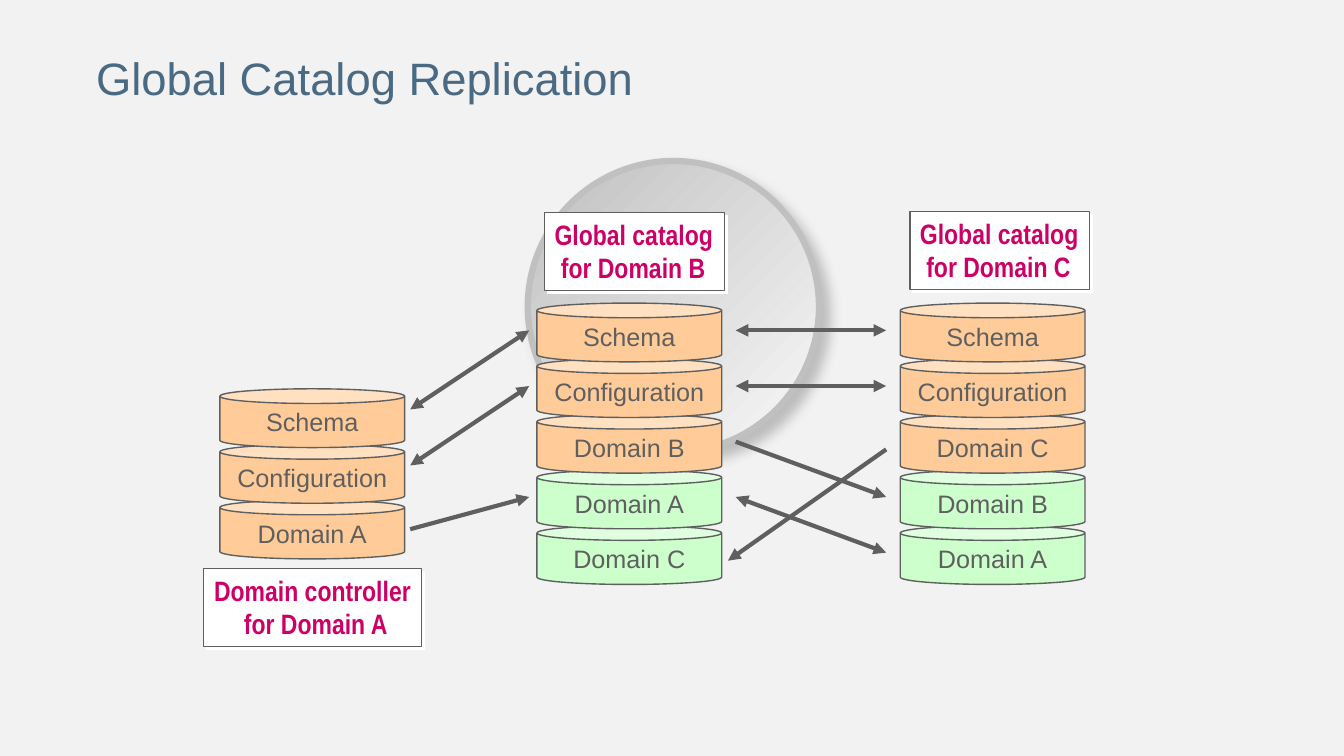
"""Build the Global Catalog Replication slide."""
from lxml.etree import SubElement
from pptx import Presentation
from pptx.dml.color import RGBColor
from pptx.enum.shapes import MSO_CONNECTOR, MSO_SHAPE
from pptx.enum.text import MSO_ANCHOR, PP_ALIGN
from pptx.oxml.ns import qn
from pptx.util import Pt

BACKGROUND = RGBColor(0xF2, 0xF2, 0xF2)
TITLE_BLUE = RGBColor(0x4A, 0x69, 0x82)
GRAY = RGBColor(0x5F, 0x5F, 0x5F)
SILVER = RGBColor(0xC0, 0xC0, 0xC0)
PALE = RGBColor(0xF8, 0xF8, 0xF8)
ORANGE = RGBColor(0xFF, 0xCC, 0x99)
GREEN = RGBColor(0xCC, 0xFF, 0xCC)
MAGENTA = RGBColor(0xCC, 0x00, 0x66)
WHITE = RGBColor(0xFF, 0xFF, 0xFF)
BLACK = RGBColor(0x00, 0x00, 0x00)


def write_text(shape, text, alignment, color, font_format):
    """Put one formatted paragraph into a shape."""
    paragraph = shape.text_frame.paragraphs[0]
    paragraph.text = text
    paragraph.alignment = alignment
    for name, value in font_format.items():
        setattr(paragraph.font, name, value)
    paragraph.font.color.rgb = color
    return paragraph


def add_shadow(shape, color, opacity, blur, distance):
    """Give a shape an outer shadow towards the lower right."""
    shape.shadow.inherit = False
    effects = shape._element.spPr.find(qn("a:effectLst"))
    shadow = SubElement(effects, qn("a:outerShdw"), blurRad=str(Pt(blur)),
                        dist=str(Pt(distance)), dir="2700000", algn="ctr", rotWithShape="0")
    shadow_color = SubElement(shadow, qn("a:srgbClr"), val=str(color))
    SubElement(shadow_color, qn("a:alpha"), val=str(opacity * 1000))


presentation = Presentation()
presentation.slide_width = Pt(960)
presentation.slide_height = Pt(540)
slide = presentation.slides.add_slide(presentation.slide_layouts[6])
slide.background.fill.solid()
slide.background.fill.fore_color.rgb = BACKGROUND

circle = slide.shapes.add_shape(MSO_SHAPE.OVAL, Pt(377), Pt(115), Pt(208), Pt(208))
circle.fill.gradient()
circle.fill.gradient_angle = 315
for stop, color in zip(circle.fill.gradient_stops, (SILVER, PALE)):
    stop.color.rgb = color
circle.line.color.rgb = SILVER
circle.line.width = Pt(4.5)
add_shadow(circle, BLACK, 22, 9, 8)

title = slide.shapes.add_textbox(Pt(54), Pt(29.5), Pt(413), Pt(57))
title.text_frame.word_wrap = True
title.text_frame.vertical_anchor = MSO_ANCHOR.MIDDLE
title_paragraph = write_text(title, "Global Catalog Replication", PP_ALIGN.CENTER, TITLE_BLUE,
                             {"name": "Arial", "size": Pt(32.4)})
title_paragraph.line_spacing = 0.9

CAN_PITCH = 39.75
OWN_PARTITIONS = 3
stacks = [
    (157, 277.75, ["Schema", "Configuration", "Domain A"]),
    (383.5, 216.5, ["Schema", "Configuration", "Domain B", "Domain A", "Domain C"]),
    (643, 216.5, ["Schema", "Configuration", "Domain C", "Domain B", "Domain A"]),
]
for left, top, partitions in stacks:
    for row, partition in reversed(list(enumerate(partitions))):
        can = slide.shapes.add_shape(MSO_SHAPE.CAN, Pt(left), Pt(top + row * CAN_PITCH),
                                     Pt(132), Pt(42))
        can.shadow.inherit = False
        can.adjustments[0] = 0.25
        can.fill.solid()
        can.fill.fore_color.rgb = ORANGE if row < OWN_PARTITIONS else GREEN
        can.line.color.rgb = GRAY
        can.line.width = Pt(1)
        can.text_frame.word_wrap = False
        can.text_frame.vertical_anchor = MSO_ANCHOR.MIDDLE
        write_text(can, partition, PP_ALIGN.CENTER, GRAY, {"name": "Arial", "size": Pt(18)})

labels = [
    ("Global catalog\v for Domain B", 389, 151.75, 128.5, PP_ALIGN.LEFT),
    ("Global catalog\v for Domain C", 650, 151, 128.5, PP_ALIGN.LEFT),
    ("Domain controller\v for Domain A", 145.25, 406, 156, PP_ALIGN.CENTER),
]
for text, left, top, width, alignment in labels:
    label = slide.shapes.add_shape(MSO_SHAPE.RECTANGLE, Pt(left), Pt(top), Pt(width), Pt(56))
    label.fill.solid()
    label.fill.fore_color.rgb = WHITE
    label.line.color.rgb = GRAY
    label.line.width = Pt(0.75)
    add_shadow(label, WHITE, 100, 0, 2.8)
    label.text_frame.word_wrap = False
    label.text_frame.vertical_anchor = MSO_ANCHOR.TOP
    write_text(label, text, alignment, MAGENTA,
               {"name": "Arial Narrow", "size": Pt(20), "bold": True})

ONE_WAY = ["a:tailEnd"]
TWO_WAY = ["a:headEnd", "a:tailEnd"]
arrows = [
    (293, 378, 378, 355, ONE_WAY),
    (293, 292.5, 378, 236, TWO_WAY),
    (293, 332.5, 378, 275.75, TWO_WAY),
    (525.5, 236, 633, 236, TWO_WAY),
    (525.5, 275.75, 633, 275.75, TWO_WAY),
    (525.5, 315.5, 633, 355, ONE_WAY),
    (633, 321, 520, 400.5, ONE_WAY),
    (525.5, 355, 633, 394.75, TWO_WAY),
]
for start_x, start_y, end_x, end_y, arrowheads in arrows:
    arrow = slide.shapes.add_connector(MSO_CONNECTOR.STRAIGHT, Pt(start_x), Pt(start_y),
                                       Pt(end_x), Pt(end_y))
    arrow.line.color.rgb = GRAY
    arrow.line.width = Pt(3)
    for arrowhead in arrowheads:
        SubElement(arrow.line._get_or_add_ln(), qn(arrowhead), type="triangle")
    SubElement(arrow._element.spPr, qn("a:effectLst"))

presentation.save("out.pptx")
